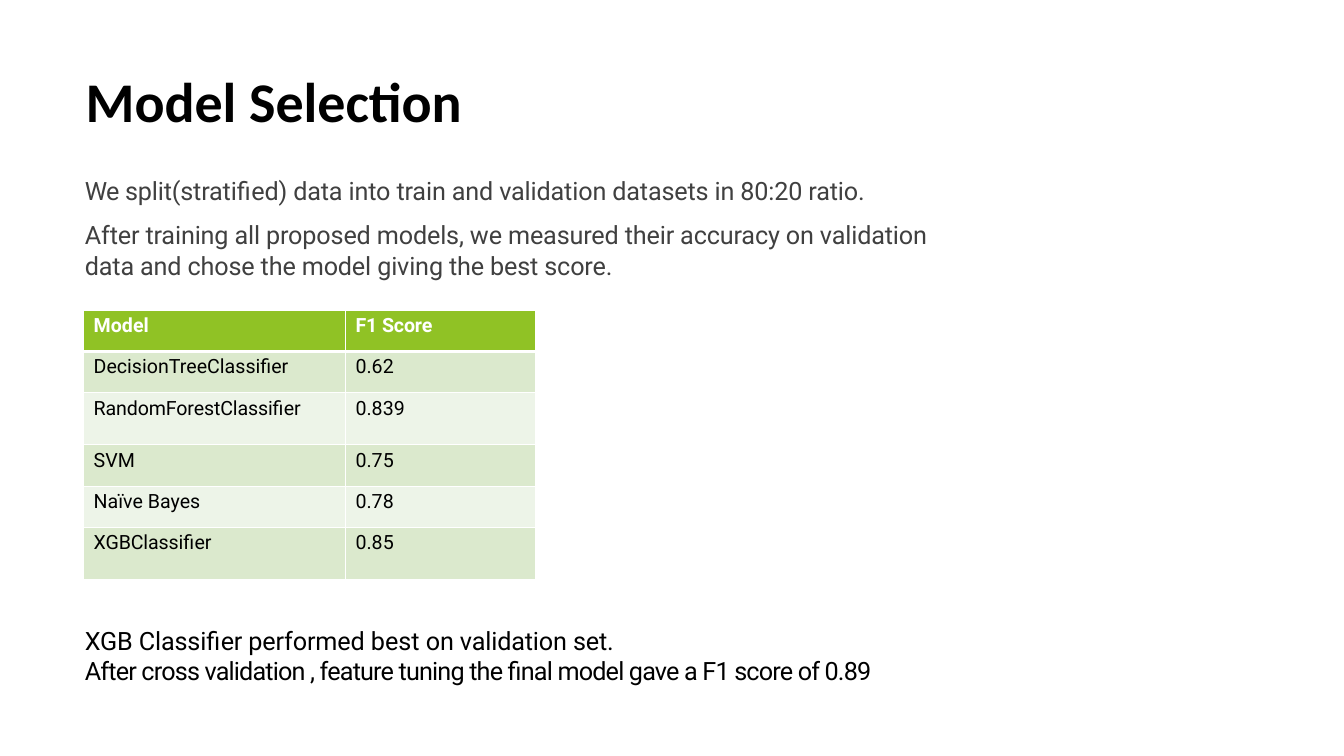
import pptx
import pptx.util
import pptx.dml.color
import pptx.enum.text
import pptx.oxml
import pptx.oxml.ns

Cm = pptx.util.Cm
Pt = pptx.util.Pt
ANCHOR = pptx.enum.text.MSO_ANCHOR

SIZE = (33.87, 19.05)
HEAD = {"size": Pt(40), "name": "Calibri", "bold": True}
BODY = {"size": Pt(18), "name": "Roboto", "bold": False}
CELL = {"size": Pt(14), "name": "Roboto", "bold": False}

BOXES = [
    {"at": (2.11, 4.04, 22.15, 3.07), "pad": (0.03, 0.38, 0, 0),
     "anchor": ANCHOR.TOP, "font": BODY, "ink": "404040",
     "lines": [
         (11, 1, [("We ", -50),
                  ("split(stratified) data into train and validation datasets in 80:20 ratio.", -10)]),
         (10, 1, [("After training all proposed models, we measured their accuracy on validation "
                   "data and chose the model giving the best score.", -10)]),
     ]},
    {"at": (2.11, 14.94, 24.16, 2.39), "pad": (0.03, 0.81, 0, 0),
     "anchor": ANCHOR.TOP, "font": BODY, "ink": "000000",
     "lines": [
         (1, 1, [("XGB Classifier performed ", -10), ("best ", 0), ("on validation set.", -10)]),
         (0, 1, [("After cross validation , feature tuning the final model gave a F1 score of 0.89", -60)]),
     ]},
    {"at": (1.91, 1.02, 25.6, 3.23), "pad": (0.25, 0.13, 0.25, 0.13),
     "anchor": ANCHOR.MIDDLE, "font": HEAD, "ink": "000000",
     "lines": [(0, 0.9, [("Model Selection", 0)])]},
]

SPOT = (2.11, 7.82)
COLS = (6.6, 4.8)
ROWS = [
    (1.04, "Model", "F1 Score"),
    (1.04, "DecisionTreeClassifier", "0.62"),
    (1.31, "RandomForestClassifier", "0.839"),
    (1.04, "SVM", "0.75"),
    (1.04, "Naïve Bayes", "0.78"),
    (1.31, "XGBClassifier", "0.85"),
]
TIGHT = {"F1 Score", "RandomForestClassifier", "XGBClassifier"}
TOP = "90C225"
BANDS = ("EDF4E8", "DBE9CD")
RULE = "FFFFFF"


def tint(part, code):
    part.rgb = pptx.dml.color.RGBColor.from_string(code)


def apply(item, form):
    for key, value in form.items():
        setattr(item, key, value)


def write(para, runs, form, ink):
    for text, gap in runs:
        run = para.add_run()
        run.text = text
        apply(run.font, form)
        tint(run.font.color, ink)
        run._r.get_or_add_rPr().set("spc", str(gap))


def pads(sides):
    names = ("margin_left", "margin_top", "margin_right", "margin_bottom")
    return {name: Cm(side) for name, side in zip(names, sides)}


def edge(cell, sides):
    props = cell._tc.get_or_add_tcPr()
    for spot, (side, width) in enumerate(sides.items()):
        line = pptx.oxml.parse_xml(
            f'<a:ln{side} {pptx.oxml.ns.nsdecls("a")} w="{Pt(width)}"><a:solidFill>'
            f'<a:srgbClr val="{RULE}"/></a:solidFill></a:ln{side}>')
        props.insert(spot, line)


def add_box(slide, box):
    frame = slide.shapes.add_textbox(*map(Cm, box["at"])).text_frame
    apply(frame, {"word_wrap": True, "vertical_anchor": box["anchor"], **pads(box["pad"])})
    for num, (lead, pitch, runs) in enumerate(box["lines"]):
        para = frame.add_paragraph() if num else frame.paragraphs[0]
        apply(para, {"space_before": Pt(lead), "line_spacing": pitch})
        write(para, runs, box["font"], box["ink"])


def add_grid(slide):
    high = sum(row[0] for row in ROWS)
    area = map(Cm, (*SPOT, sum(COLS), high))
    table = slide.shapes.add_table(len(ROWS), len(COLS), *area).table
    for col, width in zip(table.columns, COLS):
        col.width = Cm(width)
    for num, (tall, *texts) in enumerate(ROWS):
        table.rows[num].height = Cm(tall)
        first = num == 0
        form = {**CELL, "bold": first}
        for col, text in enumerate(texts):
            cell = table.cell(num, col)
            apply(cell, pads((0.25, 0.1, 0, 0)))
            cell.fill.solid()
            tint(cell.fill.fore_color, TOP if first else BANDS[num % 2])
            edge(cell, {"L": 1, "R": 1, "T": 3 if num == 1 else 1, "B": 3 if first else 1})
            para = cell.text_frame.paragraphs[0]
            para.space_before = Pt(3.2)
            gap = -10 if text in TIGHT else 0
            write(para, [(text, gap)], form, "FFFFFF" if first else "000000")


def main():
    deck = pptx.Presentation()
    deck.slide_width, deck.slide_height = map(Cm, SIZE)
    slide = deck.slides.add_slide(deck.slide_layouts[6])
    add_grid(slide)
    for box in BOXES:
        add_box(slide, box)
    deck.save("out.pptx")


if __name__ == "__main__":
    main()
